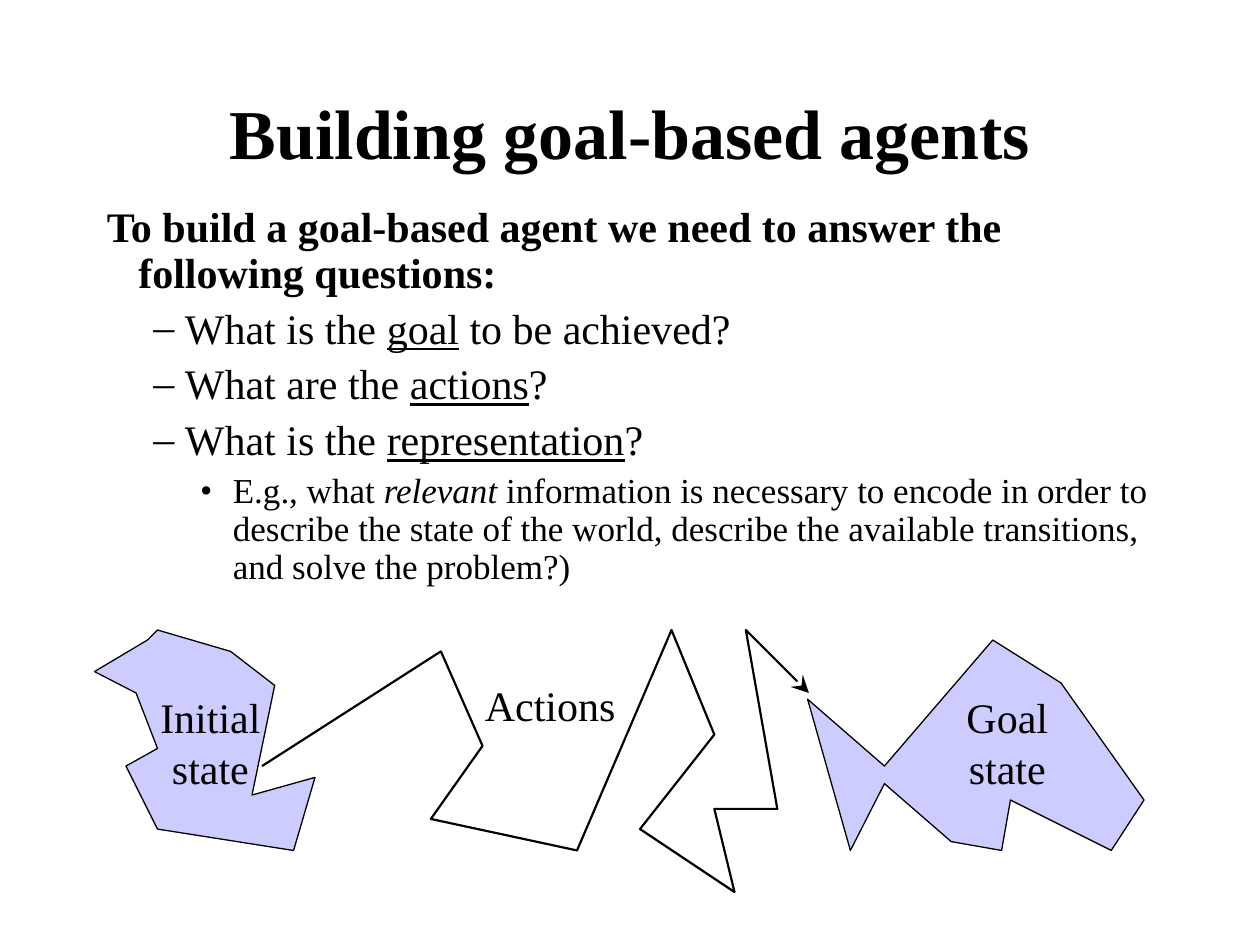
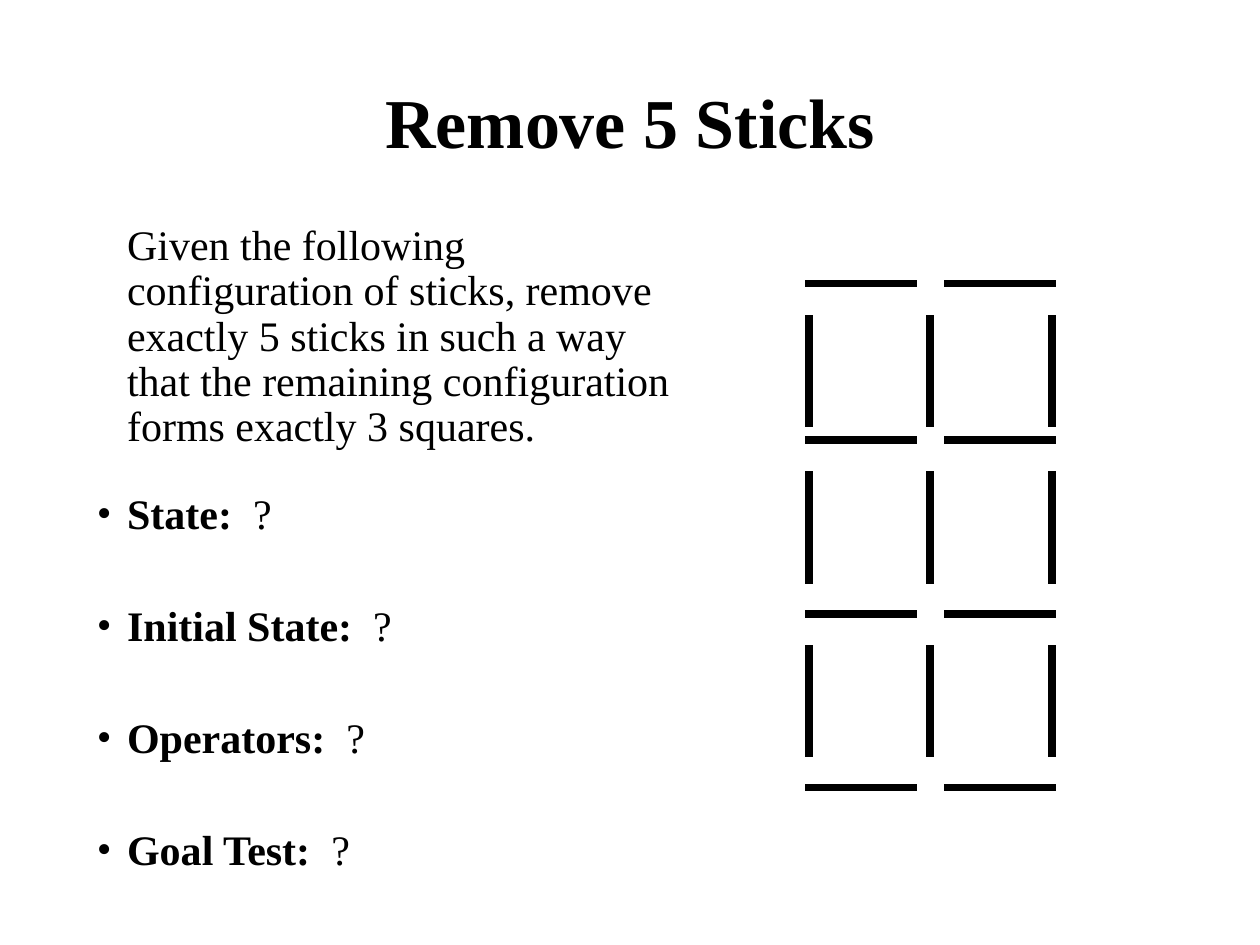
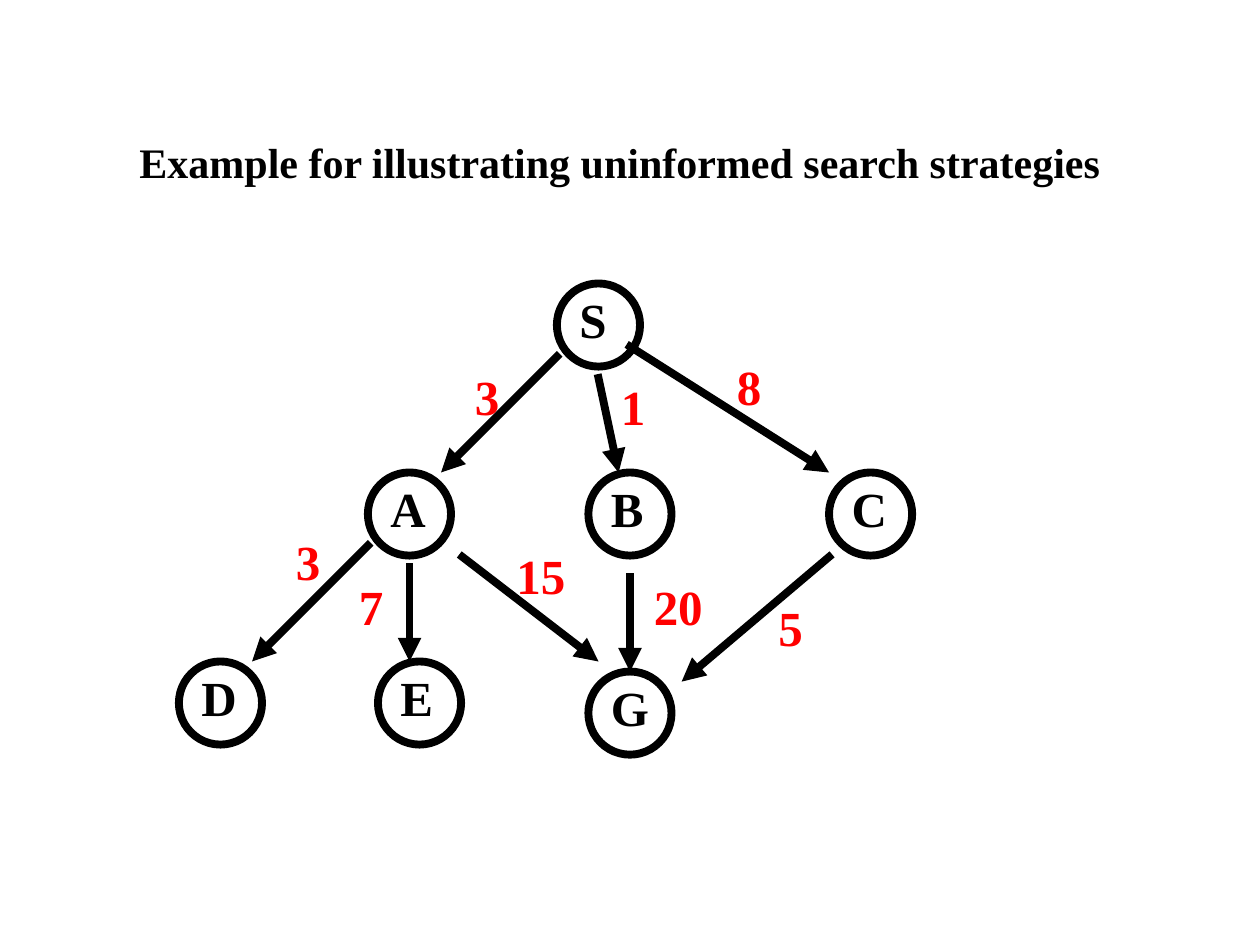
from lxml.etree import SubElement
from pptx import Presentation
from pptx.dml.color import RGBColor
from pptx.enum.shapes import MSO_CONNECTOR as LINK, MSO_SHAPE as SHAPE
from pptx.enum.text import MSO_ANCHOR as ANCHOR, MSO_AUTO_SIZE as FIT, PP_ALIGN as ALIGN
from pptx.oxml.ns import qn
from pptx.util import Inches, Pt

BLACK, RED, LILAC = "000000", "FF0000", "CCCCFF"


def color(hex_code):
    return RGBColor.from_string(hex_code)


class Deck:
    font = "Times New Roman"
    thick = 4.5

    def __init__(self):
        self.prs = Presentation()
        self.prs.slide_width, self.prs.slide_height = Inches(10), Inches(7.5)

    def new_slide(self):
        self.slide = self.prs.slides.add_slide(self.prs.slide_layouts[6])

    def frame(self, left, top, width, height, wrap=True):
        box = self.slide.shapes.add_textbox(*map(Inches, (left, top, width, height)))
        box.text_frame.word_wrap = wrap
        return box.text_frame

    def style(self, paragraph, size, bold=False, ink=BLACK, align=ALIGN.LEFT):
        paragraph.alignment = align
        font = paragraph.font
        font.name, font.size, font.bold = self.font, Pt(size), bold
        font.color.rgb = color(ink)

    def title(self, text, left, top, size=40):
        frame = self.frame(left, top, 8.5, 1.25)
        frame.vertical_anchor = ANCHOR.MIDDLE
        frame.text = text
        self.style(frame.paragraphs[0], size, True, align=ALIGN.CENTER)

    def label(self, text, left, top, width, height, size=24, **look):
        frame = self.frame(left, top, width, height, wrap=False)
        frame.auto_size = FIT.SHAPE_TO_FIT_TEXT
        frame.text = text
        for paragraph in frame.paragraphs:
            self.style(paragraph, size, **look)

    def item(self, frame, runs, margin, indent, before=6, size=24, bullet=None, bold=False):
        paragraph = frame.paragraphs[0]
        if paragraph.runs:
            paragraph = frame.add_paragraph()
        self.style(paragraph, size, bold)
        paragraph.line_spacing, paragraph.space_before = 0.9, Pt(before)
        for text, *emphasis in runs:
            run = paragraph.add_run()
            run.text = text
            for kind in emphasis:
                setattr(run.font, kind, True)
        props = paragraph.font._element.getparent()
        props.set("marL", str(Inches(margin)))
        props.set("indent", str(Inches(indent)))
        if bullet:
            defaults = props.find(qn("a:defRPr"))
            for tag, attribute, value in (("a:buFont", "typeface", self.font),
                                          ("a:buChar", "char", bullet)):
                defaults.addprevious(SubElement(props, qn(tag), {attribute: value}))

    def outline(self, shape, width, head=None, cap="flat", head_size="med"):
        shape.line.color.rgb = color(BLACK)
        shape.line.width = Pt(width)
        stroke = shape.element.spPr.find(qn("a:ln"))
        stroke.set("cap", cap)
        if head:
            SubElement(stroke, qn("a:tailEnd"), type=head, w=head_size, len=head_size)

    def polygon(self, points, fill=None, width=0.75, head=None):
        start, *rest = [(Inches(x), Inches(y)) for x, y in points]
        builder = self.slide.shapes.build_freeform(*start)
        builder.add_line_segments(rest, close=fill is not None)
        shape = builder.convert_to_shape()
        shape.shadow.inherit = False
        if fill:
            shape.fill.solid()
            shape.fill.fore_color.rgb = color(fill)
        else:
            shape.fill.background()
        self.outline(shape, width, head, head_size="lg")

    def circle(self, left, top, size):
        shape = self.slide.shapes.add_shape(SHAPE.OVAL, *map(Inches, (left, top, size, size)))
        shape.shadow.inherit = False
        shape.fill.background()
        self.outline(shape, self.thick)
        return shape

    def line(self, x1, y1, x2, y2, head=None):
        link = self.slide.shapes.add_connector(LINK.STRAIGHT, *map(Inches, (x1, y1, x2, y2)))
        self.outline(link, self.thick, head, cap="sq")
        SubElement(link.element.spPr, qn("a:effectLst"))
        return link


def goal_agents(deck):
    deck.new_slide()
    deck.title("Building goal-based agents", 0.75, 0.42)
    body = deck.frame(0.75, 1.59, 8.5, 3.25)
    deck.item(body, [("To build a goal-based agent we need to answer the following questions:",)],
              0.25, -0.25, bold=True)
    for lead, key, rest in (("What is the ", "goal", " to be achieved?"),
                            ("What are the ", "actions", "?"),
                            ("What is the ", "representation", "?")):
        deck.item(body, [(lead,), (key, "underline"), (rest,)], 0.62, -0.25, bullet="–")
    deck.item(body, [("E.g., what ",), ("relevant ", "italic"),
                     ("information is necessary to encode in order to describe the state of the "
                      "world, describe the available transitions, and solve the problem?)",)],
              1, -0.26, before=5, size=20, bullet="•")

    initial = [(1.25, 5), (1.83, 5.17), (2.18, 5.44), (2, 6.31), (2.5, 6.17), (2.33, 6.75),
               (1.25, 6.58), (1, 6.08), (1.25, 5.94), (1.08, 5.5), (0.75, 5.33), (1.17, 5.08)]
    goal = [(7.02, 6.08), (7.88, 5.08), (8.42, 5.42), (9.08, 6.35), (8.82, 6.75), (8.02, 6.35),
            (7.95, 6.75), (7.55, 6.68), (7.02, 6.22), (6.75, 6.75), (6.41, 5.55)]
    actions = [(2.08, 6.08), (3.5, 5.17), (3.83, 5.92), (3.42, 6.5), (4.58, 6.75), (5.33, 5),
               (5.67, 5.83), (5.08, 6.58), (5.83, 7.08), (5.67, 6.42), (6.17, 6.42),
               (5.92, 5), (6.42, 5.5)]
    deck.polygon(initial, LILAC)
    deck.polygon(goal, LILAC)
    deck.label("Initial\nstate", 1.16, 5.44, 1.02, 0.9, align=ALIGN.CENTER)
    deck.label("Goal\nstate", 7.56, 5.44, 0.87, 0.9, align=ALIGN.CENTER)
    deck.polygon(actions, width=1.25, head="stealth")
    deck.label("Actions", 3.75, 5.34, 1.26, 0.5)


def remove_sticks(deck):
    deck.new_slide()
    deck.title("Remove 5 Sticks", 0.75, 0.33)
    body = deck.frame(0.67, 1.73, 4.78, 5.5)
    deck.item(body, [("Given the following configuration of sticks, remove exactly 5 sticks in such "
                      "a way that the remaining configuration forms exactly 3 squares.",)], 0.24, 0)
    for part, before in (("State", 24.5), ("Initial State", 38), ("Operators", 38), ("Goal Test", 38)):
        deck.item(body, [(f"{part}:  ", "bold"), ("?",)], 0.24, -0.24, before, bullet="•")

    stick, gap = 0.83, 0.28
    levels = (2.25, 3.49, 4.87, 6.25)
    for y in levels:
        for x in (6.42, 7.52):
            deck.line(x, y, x + stick, y)
    for y in levels[:-1]:
        for x in (6.42, 7.38, 8.35):
            deck.line(x, y + gap, x, y + gap + stick)


def search_example(deck):
    deck.new_slide()
    deck.title("Example for illustrating uninformed search strategies", 0.67, 0.66, size=24)
    nodes = {}
    for name, left, top, width in (("S", 4.42, 2.25, 0.41), ("C", 6.58, 3.75, 0.48),
                                   ("B", 4.67, 3.75, 0.46), ("A", 2.92, 3.75, 0.48),
                                   ("D", 1.42, 5.25, 0.48), ("G", 4.67, 5.33, 0.5),
                                   ("E", 3, 5.25, 0.46)):
        nodes[name] = deck.circle(left, top, 0.66)
        deck.label(name, left + 0.08, top, width, 0.57, 28, bold=True)

    for ends in ((4.42, 2.83, 3.5, 3.75), (3.25, 4.5, 3.25, 5.25), (3.67, 4.42, 4.75, 5.25),
                 (4.75, 3, 4.91, 3.75), (5, 2.75, 6.58, 3.75), (6.58, 4.42, 5.41, 5.41),
                 (2.92, 4.33, 2, 5.25)):
        deck.line(*ends, head="triangle")
    deck.line(5, 4.58, 5, 5.33, head="triangle").end_connect(nodes["G"], 0)

    for cost, left, top in (("3", 3.67, 2.86), ("1", 4.83, 2.94), ("8", 5.75, 2.78),
                            ("15", 4, 4.28), ("20", 5.09, 4.53), ("5", 6.08, 4.69),
                            ("3", 2.25, 4.17), ("7", 2.75, 4.53)):
        deck.label(cost, left, top, 0.19 + 0.2 * len(cost), 0.57, 28, bold=True, ink=RED)


def main():
    deck = Deck()
    goal_agents(deck)
    remove_sticks(deck)
    search_example(deck)
    deck.prs.save("out.pptx")


if __name__ == "__main__":
    main()
